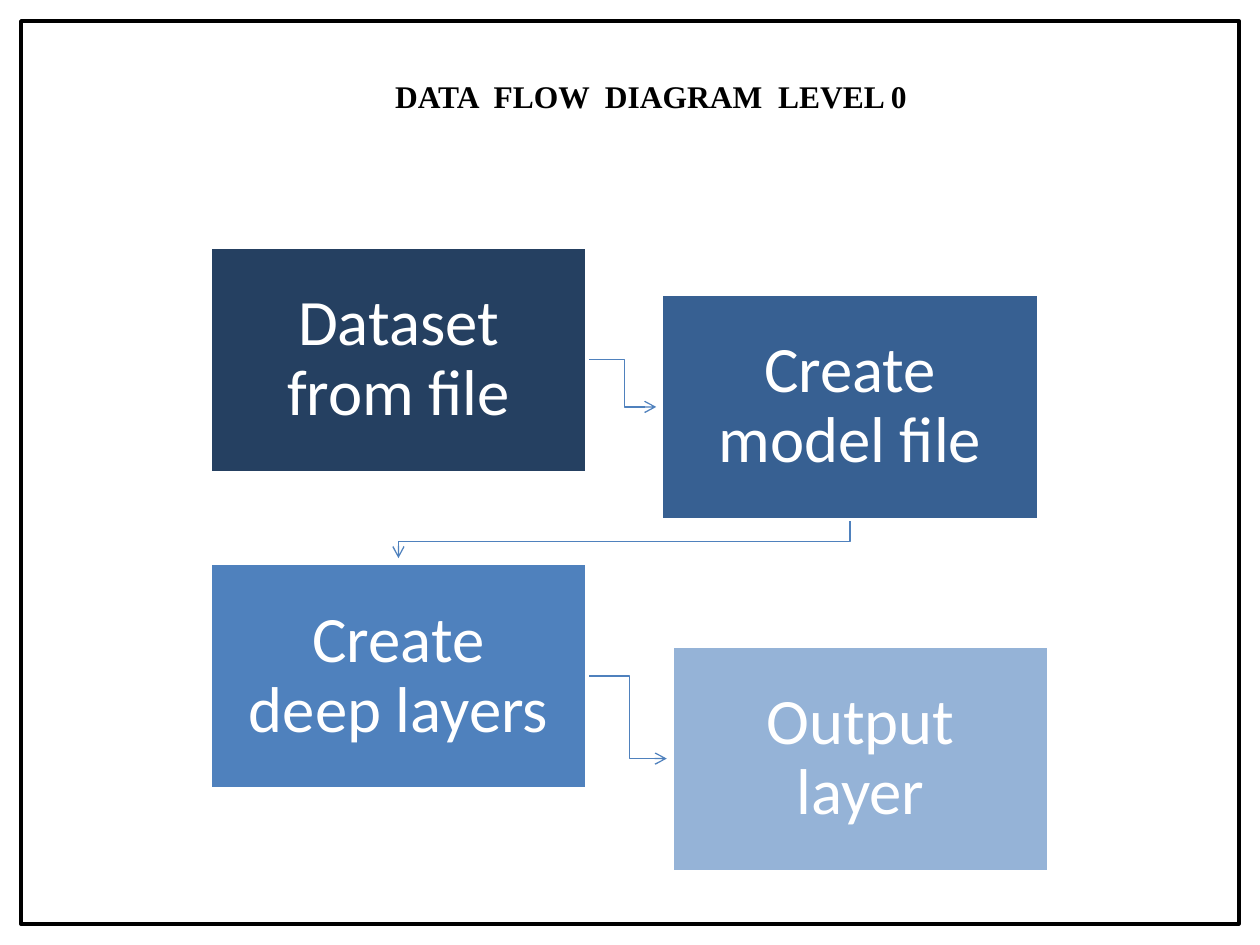
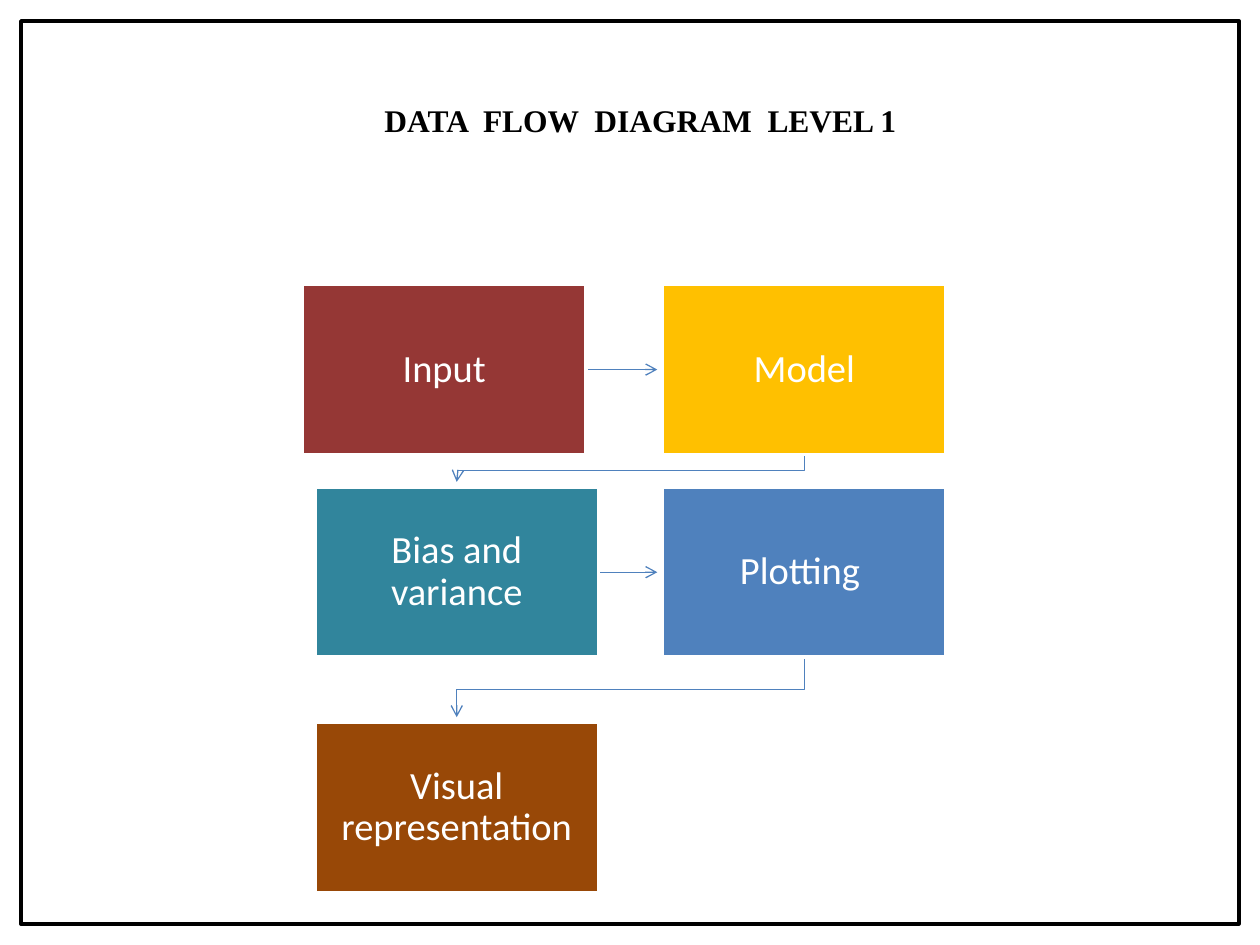
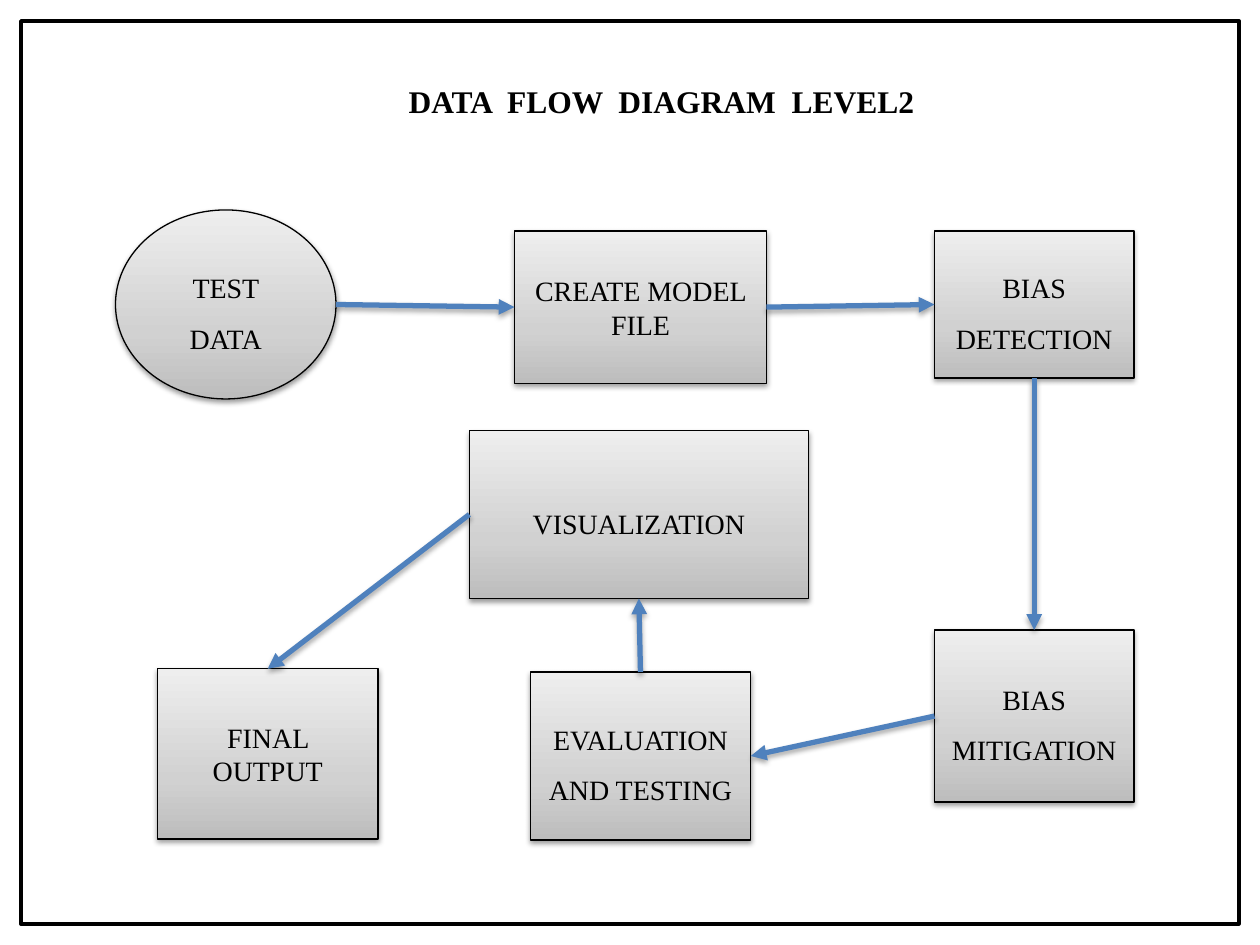
"""Build three data flow diagram slides."""
import dataclasses

import lxml.etree
import pptx
import pptx.dml.color
import pptx.enum.shapes
import pptx.enum.text
import pptx.oxml.ns
import pptx.util

RGB = pptx.dml.color.RGBColor
BLACK = RGB(0x00, 0x00, 0x00)
WHITE = RGB(0xFF, 0xFF, 0xFF)
NAVY = RGB(0x25, 0x40, 0x61)
STEEL = RGB(0x37, 0x60, 0x92)
BLUE = RGB(0x4F, 0x81, 0xBD)
SKY = RGB(0x95, 0xB3, 0xD7)
RED = RGB(0x95, 0x37, 0x35)
GOLD = RGB(0xFF, 0xC0, 0x00)
TEAL = RGB(0x31, 0x85, 0x9C)
BROWN = RGB(0x98, 0x48, 0x07)
SHADE = ((0, RGB(0xBD, 0xBD, 0xBD)), (35, RGB(0xD1, 0xD1, 0xD1)), (100, RGB(0xEE, 0xEE, 0xEE)))
SERIF, SANS = "Times New Roman", "Calibri"
RECT = pptx.enum.shapes.MSO_SHAPE.RECTANGLE
OVAL = pptx.enum.shapes.MSO_SHAPE.OVAL
CELL = pptx.util.Inches(10) / 120
GAP = 0.5
TOP, LEFT, DOWN, RIGHT = range(4)


@dataclasses.dataclass
class Box:
    """A box in grid cells, 120 columns by 90 rows to the slide."""
    x: float
    y: float
    w: float
    h: float

    def inner(self, x, y, w, h):
        """Return a box placed relative to this one."""
        return Box(self.x + x, self.y + y, w, h)

    def side(self, side):
        """Return the middle of one side."""
        across, down = ((0.5, 0), (0, 0.5), (0.5, 1), (1, 0.5))[side]
        return self.x + across * self.w, self.y + down * self.h

    def place(self):
        """Return left, top, width and height in EMU."""
        return [emu(v) for v in (self.x, self.y, self.w, self.h)]


PAGE = Box(0, 0, 120, 90)


def emu(cells):
    """Turn grid cells into EMU."""
    return round(cells * CELL)


def add_tag(parent, tag, **attrs):
    """Add a DrawingML child with its attributes."""
    child = lxml.etree.SubElement(parent, pptx.oxml.ns.qn(tag))
    for name, value in attrs.items():
        child.set(name, str(value))
    return child


def cast_shade(effects, alpha, gap):
    """Give an effect list a soft shadow below."""
    shade = add_tag(effects, "a:outerShdw", blurRad=pptx.util.Pt(3.1), dist=pptx.util.Pt(gap),
                    dir=5400000, rotWithShape=0)
    add_tag(add_tag(shade, "a:srgbClr", val=BLACK), "a:alpha", val=alpha * 1000)


def fill_shade(shape):
    """Fill a shape with the grey gradient, dark at the bottom."""
    props = shape._element.spPr
    grad = add_tag(props, "a:gradFill", rotWithShape=1)
    stops = add_tag(grad, "a:gsLst")
    for pos, tone in SHADE:
        add_tag(add_tag(stops, "a:gs", pos=pos * 1000), "a:srgbClr", val=tone)
    add_tag(grad, "a:lin", ang=16200000, scaled=0)
    props.find(pptx.oxml.ns.qn("a:prstGeom")).addnext(grad)


def write(shape, text, size=16, font=SERIF, tone=BLACK, bold=False, space=1, inset=None):
    """Put centred text in a shape."""
    frame = shape.text_frame
    frame.word_wrap = True
    if inset is not None:
        frame.margin_left = frame.margin_right = pptx.util.Inches(inset)
        frame.margin_top = frame.margin_bottom = pptx.util.Inches(inset)
    para = frame.paragraphs[0]
    para.alignment = pptx.enum.text.PP_ALIGN.CENTER
    para.line_spacing = float(space)
    run = para.add_run()
    run.text = text
    run.font.size, run.font.name, run.font.bold = pptx.util.Pt(size), font, bold
    run.font.color.rgb = tone


def set_line(shape, tone, width, head=None):
    """Style a line and its arrowhead."""
    shape.line.color.rgb = tone
    shape.line.width = pptx.util.Pt(width)
    if head:
        add_tag(shape.line._get_or_add_ln(), "a:tailEnd", type=head)


def draw_shape(slide, box, kind=RECT, fill=None, tone=BLACK, width=2):
    """Draw a preset shape without shadow."""
    shape = slide.shapes.add_shape(kind, *box.place())
    shape.shadow.inherit = False
    shape.text_frame.vertical_anchor = pptx.enum.text.MSO_ANCHOR.MIDDLE
    if fill is None:
        shape.fill.background()
    else:
        shape.fill.solid()
        shape.fill.fore_color.rgb = fill
    set_line(shape, tone, width)
    return shape


def draw_arrow(slide, start, end, width, head):
    """Draw a straight arrow and return it with its effect list."""
    straight = pptx.enum.shapes.MSO_CONNECTOR.STRAIGHT
    arrow = slide.shapes.add_connector(straight, *(emu(v) for v in (*start, *end)))
    set_line(arrow, BLUE, width, head)
    return arrow, add_tag(arrow._element.spPr, "a:effectLst")


def link_step(slide, first, second):
    """Lead from one box to the next, to the right or down with a bend."""
    if second.x >= first.x + first.w:
        (x, y), (goal, level) = first.side(RIGHT), second.side(LEFT)
        knee = (x + goal) / 2
        points = [(x, y), (knee, y), (knee, level), (goal - GAP, level)]
    else:
        (x, y), (goal, level) = first.side(DOWN), second.side(TOP)
        knee = (y + level) / 2
        points = [(x, y), (x, knee), (goal, knee), (goal, level - GAP)]
    if points[0][1] == points[-1][1]:
        return draw_arrow(slide, points[0], points[-1], 0.75, "arrow")[0]
    start, *rest = [(emu(a), emu(b)) for a, b in points]
    pen = slide.shapes.build_freeform(*start)
    pen.add_line_segments(rest, close=False)
    bend = pen.convert_to_shape()
    bend.shadow.inherit = False
    bend.fill.background()
    set_line(bend, BLUE, 0.75, "arrow")
    return None


def draw_steps(slide, area, wide, high, steps, size, inset):
    """Draw a chain of coloured steps inside an area."""
    boxes = [area.inner(x, y, wide, high) for x, y, _, _ in steps]
    links = [link_step(slide, *pair) for pair in zip(boxes, boxes[1:])]
    shapes = []
    for box, (_, _, fill, text) in zip(boxes, steps):
        shape = draw_shape(slide, box, fill=fill, tone=WHITE)
        write(shape, text, size=size, font=SANS, tone=WHITE, space=0.9, inset=inset)
        shapes.append(shape)
    for link, shape in zip(links, shapes):
        if link is not None:
            link.begin_connect(shape, RIGHT)


def draw_graph(slide, area, nodes, links):
    """Draw grey nodes and thick arrows inside an area."""
    drawn = {}
    for key, (cells, kind, space, text) in nodes.items():
        box = area.inner(*cells)
        shape = draw_shape(slide, box, kind=kind, width=0.75)
        shape._element.spPr.remove(shape._element.spPr.find(pptx.oxml.ns.qn("a:noFill")))
        fill_shade(shape)
        cast_shade(shape._element.spPr.find(pptx.oxml.ns.qn("a:effectLst")), 38, 1.6)
        write(shape, text, space=space)
        drawn[key] = box, shape
    for first, out, second, into in links:
        (start, source), (end, target) = drawn[first], drawn[second]
        arrow, effects = draw_arrow(slide, start.side(out), end.side(into), 3, "triangle")
        cast_shade(effects, 35, 1.8)
        if source.auto_shape_type == RECT:
            arrow.begin_connect(source, out)
        arrow.end_connect(target, into)


def draw_frame(slide, page, title, x, y, wide):
    """Add the title and the black frame."""
    label = slide.shapes.add_textbox(*page.inner(x, y, wide, 4.8).place())
    write(label, title, size=18, bold=True)
    draw_shape(slide, page.inner(2, 2, page.w - 4, page.h - 4))


def main():
    """Build and save the deck."""
    deck = pptx.Presentation()
    deck.slide_width, deck.slide_height = emu(PAGE.w), emu(PAGE.h)
    zero, one, two = [deck.slides.add_slide(deck.slide_layouts[6]) for _ in range(3)]

    draw_steps(zero, PAGE.inner(20, 23.5, 80, 60), 35.9, 21.5, [
        (0, 0, NAVY, "Dataset from file"),
        (43, 4.5, STEEL, "Create model file"),
        (0, 30.15, BLUE, "Create deep layers"),
        (44, 38, SKY, "Output layer"),
    ], size=37, inset=0.29)
    draw_frame(zero, PAGE, "DATA  FLOW  DIAGRAM  LEVEL 0", 28, 6.75, 68)

    draw_steps(one, PAGE.inner(28.8, 27.1, 62, 58), 27, 16.2, [
        (0, 0, RED, "Input"),
        (34.3, 0, GOLD, "Model"),
        (1.2, 19.3, TEAL, "Bias and variance"),
        (34.3, 19.3, BLUE, "Plotting "),
        (1.2, 41.7, BROWN, "Visual representation"),
    ], size=22, inset=0.17)
    draw_frame(one, PAGE, "DATA  FLOW  DIAGRAM  LEVEL 1", 31, 9, 60)

    draw_graph(two, PAGE.inner(11, 20, 97, 60), {
        "data": ((0, 0, 21, 18), OVAL, 1.5, "TEST DATA"),
        "model": ((38, 2, 24, 14.5), RECT, 1, "CREATE MODEL FILE"),
        "final": ((4, 43.7, 21, 16.2), RECT, 1, "FINAL OUTPUT"),
        "view": ((33.7, 21, 32.3, 16), RECT, 1.5, "VISUALIZATION"),
        "find": ((78, 2, 19, 14), RECT, 1.5, "BIAS DETECTION"),
        "mend": ((78, 40, 19, 16.4), RECT, 1.5, "BIAS MITIGATION"),
        "test": ((39.5, 44, 21, 16), RECT, 1.5, "EVALUATION AND TESTING"),
    }, [
        ("data", RIGHT, "model", LEFT),
        ("find", DOWN, "mend", TOP),
        ("model", RIGHT, "find", LEFT),
        ("mend", LEFT, "test", RIGHT),
        ("view", LEFT, "final", TOP),
        ("test", TOP, "view", DOWN),
    ])
    draw_frame(two, PAGE, "DATA  FLOW  DIAGRAM  LEVEL2", 33, 7.2, 60)
    deck.save("out.pptx")


if __name__ == "__main__":
    main()
